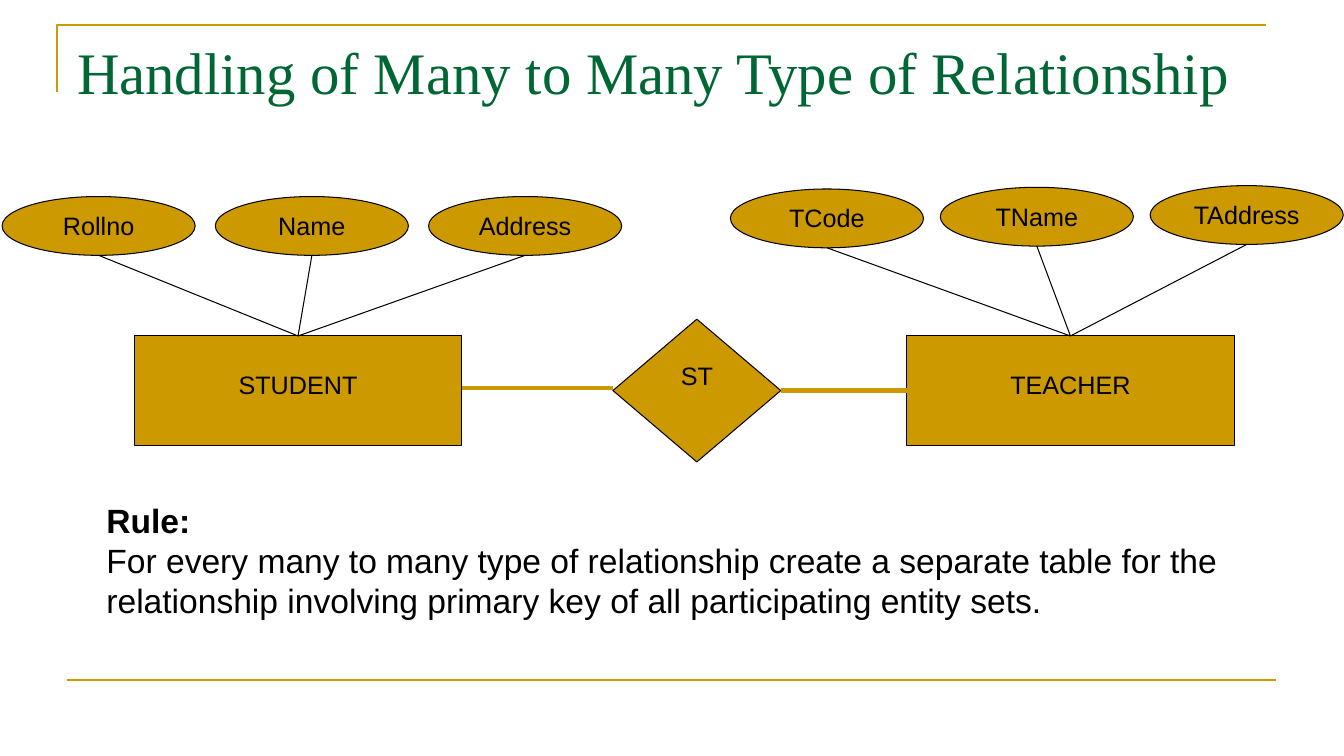
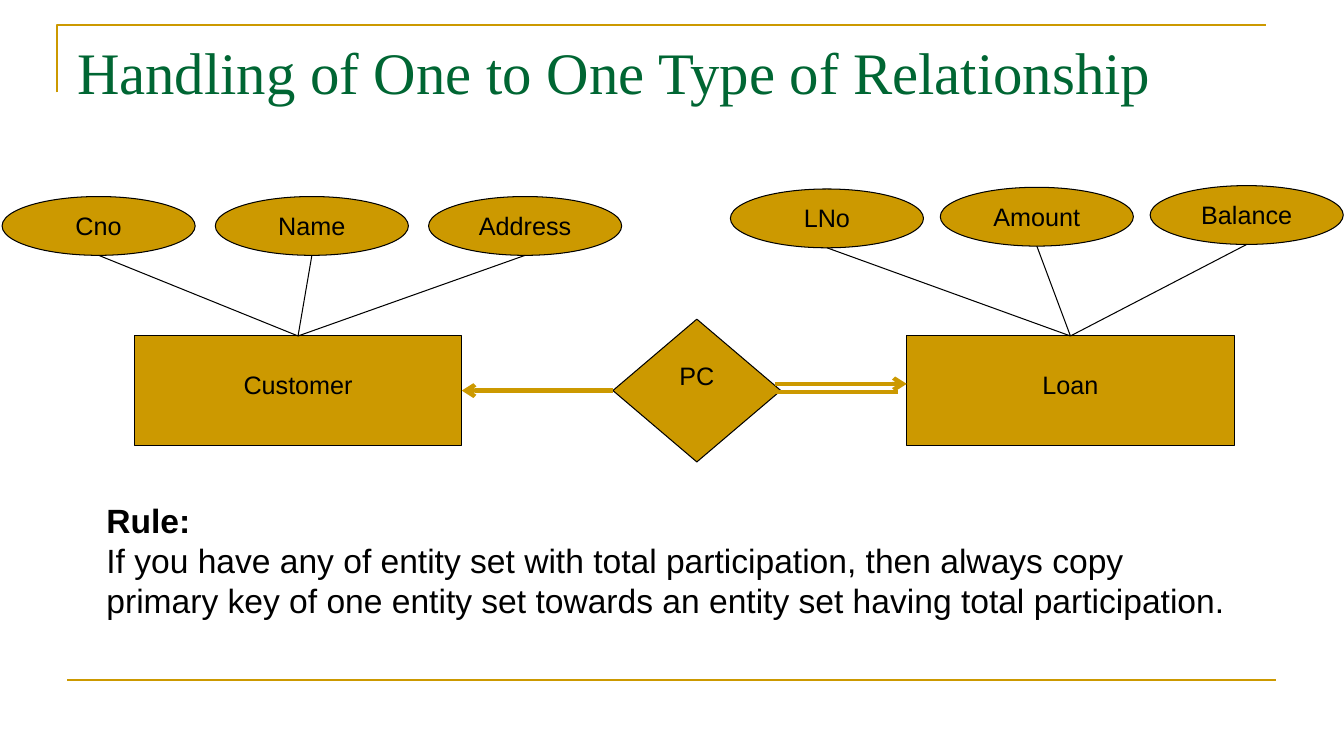
"""Build two slides on turning entity relationships into tables."""

from dataclasses import dataclass

from lxml import etree
from pptx import Presentation
from pptx import util as u
from pptx.dml.color import RGBColor
from pptx.enum import shapes, text
from pptx.oxml import ns

GOLD = RGBColor(0xCC, 0x99, 0x00)
GREEN = RGBColor(0x00, 0x66, 0x33)
BLACK = RGBColor(0x00, 0x00, 0x00)
SERIF, SANS = "Times New Roman", "Arial"
TOP, LEFT, RIGHT = 0, 1, 3
CELLS_PER_INCH = 12
ENTITY_WIDTH, ENTITY_HEIGHT, ENTITY_ROW = 39, 13, 40
OVAL_WIDTH, OVAL_HEIGHT = 23, 7
MIDDLE_ROW = ENTITY_ROW + ENTITY_HEIGHT / 2


@dataclass(frozen=True)
class Box:
    column: float
    row: float
    width: float
    height: float

    def lengths(self) -> tuple:
        return tuple(map(cells, (self.column, self.row, self.width, self.height)))


@dataclass(frozen=True)
class Side:
    entity_column: float
    oval_column: float
    oval_row: float
    column_step: float
    row_step: float


@dataclass(frozen=True)
class Link:
    start: float
    end: float
    row: float
    arrow: bool = False


@dataclass(frozen=True)
class Diagram:
    title: str
    entities: tuple[str, str]
    attributes: tuple[tuple[str, ...], tuple[str, ...]]
    relationship: str
    links: tuple[Link, ...]
    rule: str


SIDES = (Side(16, 0.25, 23.4, 25.4, 0), Side(108, 87, 22.5, 25, -0.2))
DIAMOND = Box(73, 38, 20, 17)
TITLE_BOX = Box(8, 3.6, 144, 15)
RULE_BOX = Box(11.5, 58.9, 137, 20.4)
LEFT_GAP = (73, 55)
RIGHT_GAP = (93, 108)

DIAGRAMS = (
    Diagram(
        "Handling of Many to Many Type of Relationship",
        ("STUDENT", "TEACHER"),
        (("Rollno", "Name", "Address"), ("TCode", "TName", "TAddress")),
        "ST",
        (Link(*LEFT_GAP, 46.2), Link(*RIGHT_GAP, MIDDLE_ROW)),
        "For every many to many type of relationship create a separate table for the "
        "relationship involving primary key of all participating entity sets.",
    ),
    Diagram(
        "Handling of One to One Type of Relationship",
        ("Customer", "Loan"),
        (("Cno", "Name", "Address"), ("LNo", "Amount", "Balance")),
        "PC",
        (
            Link(*LEFT_GAP, MIDDLE_ROW, arrow=True),
            Link(92, 107, 46.7),
            Link(92.3, 108, 45.7, arrow=True),
        ),
        "If you have any of entity set with total participation, then always copy "
        "primary key of one entity set towards an entity set having total participation.",
    ),
)


def cells(count: float) -> int:
    return u.Inches(count / CELLS_PER_INCH)


def add_run(paragraph, words: str, size: float, color: RGBColor, font=SANS, bold=False) -> None:
    run = paragraph.add_run()
    run.text = words
    run.font.size = u.Pt(size)
    run.font.name = font
    run.font.bold = bold
    run.font.color.rgb = color


def add_line(slide, start: tuple, end: tuple, color: RGBColor, width: float):
    line = slide.shapes.add_connector(
        shapes.MSO_CONNECTOR.STRAIGHT, *map(cells, (*start, *end))
    )
    line.line.color.rgb = color
    line.line.width = u.Pt(width)
    etree.SubElement(line._element.spPr, ns.qn("a:effectLst"))
    return line


def add_node(slide, kind, box: Box, words: str, top_inset: float = 0.6):
    node = slide.shapes.add_shape(kind, *box.lengths())
    node.shadow.inherit = False
    node.fill.solid()
    node.fill.fore_color.rgb = GOLD
    node.line.color.rgb = BLACK
    node.line.width = u.Pt(0.75)
    frame = node.text_frame
    frame.word_wrap = False
    frame.vertical_anchor = text.MSO_ANCHOR.TOP
    frame.margin_top = cells(top_inset)
    paragraph = frame.paragraphs[0]
    paragraph.alignment = text.PP_ALIGN.CENTER
    add_run(paragraph, words, 18, BLACK)
    return node


def add_text_frame(slide, box: Box):
    frame = slide.shapes.add_textbox(*box.lengths()).text_frame
    frame.word_wrap = True
    return frame


def add_frame(slide) -> None:
    builder = slide.shapes.build_freeform(cells(6.75), cells(11))
    builder.add_line_segments(
        [(cells(6.75), cells(3)), (cells(150.75), cells(3))], close=False
    )
    corner = builder.convert_to_shape()
    corner.shadow.inherit = False
    corner.fill.background()
    corner.line.color.rgb = GOLD
    corner.line.width = u.Pt(1.5)
    add_line(slide, (8, 81), (152, 81), GOLD, 1.5)


def add_entity(slide, side: Side, name: str, attributes: tuple[str, ...]):
    box = Box(side.entity_column, ENTITY_ROW, ENTITY_WIDTH, ENTITY_HEIGHT)
    entity = add_node(slide, shapes.MSO_SHAPE.RECTANGLE, box, name, top_inset=4)
    hub = (box.column + ENTITY_WIDTH / 2, ENTITY_ROW)
    for index, attribute in enumerate(attributes):
        column = side.oval_column + index * side.column_step
        row = side.oval_row + index * side.row_step
        oval = Box(column, row, OVAL_WIDTH, OVAL_HEIGHT)
        add_node(slide, shapes.MSO_SHAPE.OVAL, oval, attribute)
        foot = (column + OVAL_WIDTH / 2, row + OVAL_HEIGHT)
        add_line(slide, hub, foot, BLACK, 0.75).begin_connect(entity, TOP)
    return entity


def add_link(slide, link: Link, diamond, entities: list) -> None:
    line = add_line(slide, (link.start, link.row), (link.end, link.row), GOLD, 3)
    if link.row == MIDDLE_ROW:
        leftward = link.end < link.start
        line.begin_connect(diamond, LEFT if leftward else RIGHT)
        line.end_connect(entities[0 if leftward else 1], RIGHT if leftward else LEFT)
    if link.arrow:
        etree.SubElement(line.line._get_or_add_ln(), ns.qn("a:tailEnd"), type="arrow")


def add_diagram(presentation, diagram: Diagram) -> None:
    slide = presentation.slides.add_slide(presentation.slide_layouts[6])
    add_frame(slide)
    title = add_text_frame(slide, TITLE_BOX)
    add_run(title.paragraphs[0], diagram.title, 42, GREEN, SERIF)
    entities = [
        add_entity(slide, *parts)
        for parts in zip(SIDES, diagram.entities, diagram.attributes)
    ]
    diamond = add_node(
        slide, shapes.MSO_SHAPE.FLOWCHART_DECISION, DIAMOND, diagram.relationship
    )
    for link in diagram.links:
        add_link(slide, link, diamond, entities)
    rule = add_text_frame(slide, RULE_BOX)
    add_run(rule.paragraphs[0], "Rule:", 24, BLACK, bold=True)
    add_run(rule.add_paragraph(), diagram.rule, 24, BLACK)


def main() -> None:
    presentation = Presentation()
    presentation.slide_width = u.Inches(13.34)
    presentation.slide_height = u.Inches(7.5)
    for diagram in DIAGRAMS:
        add_diagram(presentation, diagram)
    presentation.save("out.pptx")


if __name__ == "__main__":
    main()
